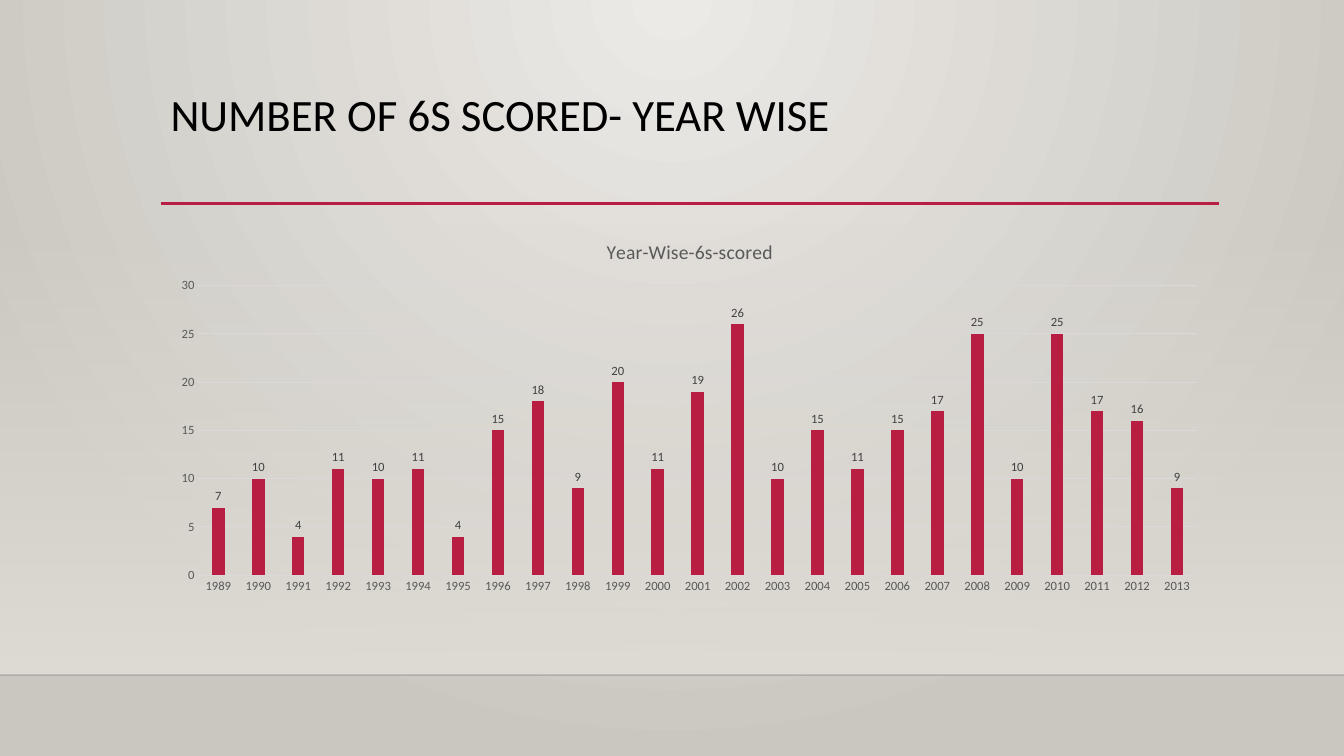
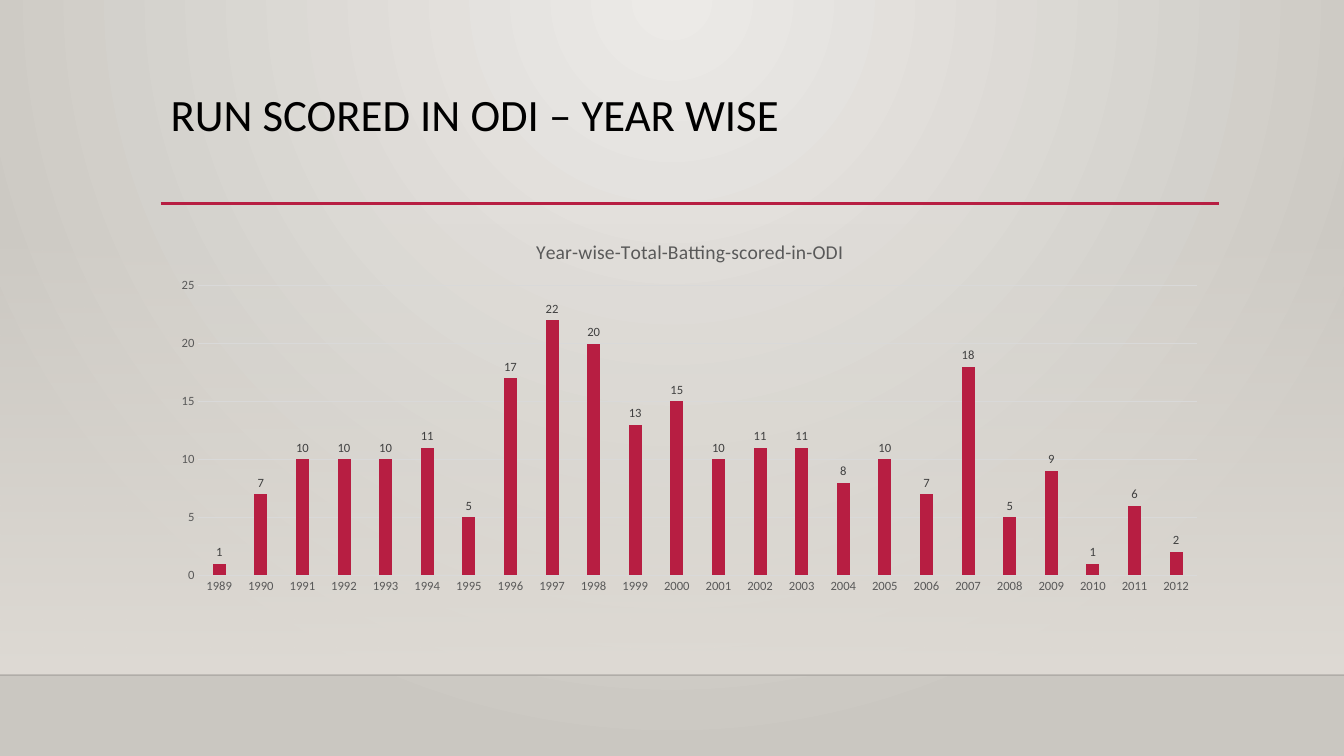
from dataclasses import dataclass

import lxml.etree
import pptx
import pptx.chart.axis
import pptx.chart.chart
import pptx.chart.data
import pptx.dml.color
import pptx.dml.line
import pptx.enum.chart
import pptx.enum.shapes
import pptx.enum.text
import pptx.oxml
import pptx.oxml.ns
import pptx.presentation
import pptx.shapes.connector
import pptx.slide
import pptx.text.text
import pptx.util

PX = 9525  # EMU, at 96 px to the inch
PAGE_WIDTH, PAGE_HEIGHT = 1280, 720
FONT = "Calibri"
BLACK, ACCENT = "000000", "B71E42"
BACKDROP_LIGHT, BACKDROP_DARK, HAZE = "ECEAE7", "CAC7C1", "DFDBD5"
AXIS_TEXT, LABEL_TEXT, RULE_GREY = "595959", "404040", "D9D9D9"
FIRST_YEAR = 1989
FLOOR_Y = 643
RULE_Y = 194
AXIS_STEP = 5


@dataclass(frozen=True)
class Area:
    left: int
    top: int
    width: int
    height: int

    def emu(self) -> tuple[int, int, int, int]:
        return px(self.left), px(self.top), px(self.width), px(self.height)


@dataclass(frozen=True)
class YearChart:
    heading: str
    title: str
    axis_maximum: int
    values: tuple[int, ...]


@dataclass(frozen=True)
class Stop:
    percent: int
    colour: str
    opacity: int = 100


TITLE_AREA = Area(153, 84, 1008, 110)
CHART_AREA = Area(153, 211, 1008, 362)
PLOT_AREA = Area(189, 272, 951, 276)
HAZE_AREA = Area(0, 212, PAGE_WIDTH, FLOOR_Y - 212)

YEAR_CHARTS = (
    YearChart(
        "NUMBER OF 6S SCORED- YEAR WISE", "Year-Wise-6s-scored", 30,
        (7, 10, 4, 11, 10, 11, 4, 15, 18, 9, 20, 11, 19, 26, 10, 15, 11, 15, 17,
         25, 10, 25, 17, 16, 9),
    ),
    YearChart(
        "RUN SCORED IN ODI – YEAR WISE", "Year-wise-Total-Batting-scored-in-ODI", 25,
        (1, 7, 10, 10, 10, 11, 5, 17, 22, 20, 13, 15, 10, 11, 11, 8, 10, 7, 18,
         5, 9, 1, 6, 2),
    ),
)


def px(length: int) -> int:
    return pptx.util.Emu(length * PX)


def rgb(colour: str) -> pptx.dml.color.RGBColor:
    return pptx.dml.color.RGBColor.from_string(colour)


def style_font(font: pptx.text.text.Font, size: int, colour: str) -> None:
    font.name = FONT
    font.size = pptx.util.Pt(size)
    font.bold = False
    font.color.rgb = rgb(colour)


def style_line(line: pptx.dml.line.LineFormat, colour: str, width: float) -> None:
    line.color.rgb = rgb(colour)
    line.width = pptx.util.Pt(width)


def set_gradient(
    properties: lxml.etree.ElementBase, stops: tuple[Stop, ...], direction: str
) -> None:
    """Put a gradient in place of the solid fill that the properties hold."""
    stop_xml = "".join(
        f'<a:gs pos="{stop.percent * 1000}"><a:srgbClr val="{stop.colour}">'
        f'<a:alpha val="{stop.opacity * 1000}"/></a:srgbClr></a:gs>'
        for stop in stops
    )
    gradient = pptx.oxml.parse_xml(
        f'<a:gradFill {pptx.oxml.ns.nsdecls("a")} rotWithShape="1">'
        f"<a:gsLst>{stop_xml}</a:gsLst>{direction}</a:gradFill>"
    )
    properties.replace(properties.find(pptx.oxml.ns.qn("a:solidFill")), gradient)


def add_rule(
    page: pptx.slide.Slide, left: int, right: int, y: int, colour: str, width: float
) -> pptx.shapes.connector.Connector:
    rule = page.shapes.add_connector(
        pptx.enum.shapes.MSO_CONNECTOR.STRAIGHT, px(left), px(y), px(right), px(y)
    )
    style_line(rule.line, colour, width)
    lxml.etree.SubElement(rule.element.spPr, pptx.oxml.ns.qn("a:effectLst"))
    return rule


def draw_backdrop(page: pptx.slide.Slide) -> None:
    page.background.fill.solid()
    set_gradient(
        page.element.find(".//" + pptx.oxml.ns.qn("p:bgPr")),
        (Stop(0, BACKDROP_LIGHT), Stop(100, BACKDROP_DARK)),
        '<a:path path="circle">'
        '<a:fillToRect l="43000" t="0" r="43000" b="100000"/></a:path>',
    )
    haze = page.shapes.add_shape(
        pptx.enum.shapes.MSO_SHAPE.RECTANGLE, *HAZE_AREA.emu()
    )
    haze.shadow.inherit = False
    haze.line.fill.background()
    haze.fill.solid()
    set_gradient(
        haze.element.spPr,
        (Stop(0, HAZE, opacity=0), Stop(100, HAZE)),
        '<a:lin ang="5400000" scaled="0"/>',
    )
    floor = add_rule(page, 0, PAGE_WIDTH, FLOOR_Y, BLACK, 1)
    floor_colour = floor.element.spPr.find(".//" + pptx.oxml.ns.qn("a:srgbClr"))
    lxml.etree.SubElement(floor_colour, pptx.oxml.ns.qn("a:alpha"), val="20000")
    add_rule(
        page, TITLE_AREA.left, TITLE_AREA.left + TITLE_AREA.width, RULE_Y, ACCENT, 2.5
    )


def add_heading(page: pptx.slide.Slide, heading: str) -> None:
    box = page.shapes.add_textbox(*TITLE_AREA.emu())
    box.text_frame.word_wrap = True
    box.text_frame.vertical_anchor = pptx.enum.text.MSO_ANCHOR.TOP
    para = box.text_frame.paragraphs[0]
    para.line_spacing = 0.9
    span = para.add_run()
    span.text = heading
    style_font(span.font, 32, BLACK)


def style_axis(axis: pptx.chart.axis.CategoryAxis | pptx.chart.axis.ValueAxis) -> None:
    axis.major_tick_mark = pptx.enum.chart.XL_TICK_MARK.NONE
    axis.minor_tick_mark = pptx.enum.chart.XL_TICK_MARK.NONE
    style_font(axis.tick_labels.font, 9, AXIS_TEXT)


def place_plot(chart: pptx.chart.chart.Chart) -> None:
    """Fix the inner plot area as fractions of the chart area."""
    fractions = {
        "x": (PLOT_AREA.left - CHART_AREA.left) / CHART_AREA.width,
        "y": (PLOT_AREA.top - CHART_AREA.top) / CHART_AREA.height,
        "w": PLOT_AREA.width / CHART_AREA.width,
        "h": PLOT_AREA.height / CHART_AREA.height,
    }
    plot_area = chart.element.find(".//" + pptx.oxml.ns.qn("c:plotArea"))
    for old_layout in plot_area.findall(pptx.oxml.ns.qn("c:layout")):
        plot_area.remove(old_layout)
    fraction_xml = "".join(
        f'<c:{name} val="{value:.4f}"/>' for name, value in fractions.items()
    )
    plot_area.insert(0, pptx.oxml.parse_xml(
        f'<c:layout {pptx.oxml.ns.nsdecls("c")}><c:manualLayout>'
        '<c:layoutTarget val="inner"/><c:xMode val="edge"/><c:yMode val="edge"/>'
        f"{fraction_xml}</c:manualLayout></c:layout>"
    ))


def add_year_chart(page: pptx.slide.Slide, year_chart: YearChart) -> None:
    data = pptx.chart.data.CategoryChartData()
    data.categories = [
        str(FIRST_YEAR + index) for index in range(len(year_chart.values))
    ]
    data.add_series(year_chart.title, year_chart.values)
    chart = page.shapes.add_chart(
        pptx.enum.chart.XL_CHART_TYPE.COLUMN_CLUSTERED, *CHART_AREA.emu(), data
    ).chart
    style_font(chart.font, 10, BLACK)
    chart.has_legend = False
    chart.has_title = True
    chart.chart_title.include_in_layout = False
    span = chart.chart_title.text_frame.paragraphs[0].add_run()
    span.text = year_chart.title
    style_font(span.font, 14, AXIS_TEXT)
    place_plot(chart)

    style_axis(chart.category_axis)
    style_line(chart.category_axis.format.line, RULE_GREY, 0.75)
    value_axis = chart.value_axis
    style_axis(value_axis)
    value_axis.format.line.fill.background()
    value_axis.minimum_scale = 0
    value_axis.maximum_scale = year_chart.axis_maximum
    value_axis.major_unit = AXIS_STEP
    value_axis.has_major_gridlines = True
    style_line(value_axis.major_gridlines.format.line, RULE_GREY, 0.75)

    plot = chart.plots[0]
    plot.vary_by_categories = False
    plot.gap_width = 219
    plot.overlap = -27
    columns = plot.series[0]
    columns.format.fill.solid()
    columns.format.fill.fore_color.rgb = rgb(ACCENT)
    labels = columns.data_labels
    labels.show_value = True
    labels.position = pptx.enum.chart.XL_LABEL_POSITION.OUTSIDE_END
    style_font(labels.font, 9, LABEL_TEXT)


def build_deck() -> pptx.presentation.Presentation:
    deck = pptx.Presentation()
    deck.slide_width, deck.slide_height = px(PAGE_WIDTH), px(PAGE_HEIGHT)
    blank_layout = deck.slide_layouts.get_by_name("Blank")
    for year_chart in YEAR_CHARTS:
        page = deck.slides.add_slide(blank_layout)
        draw_backdrop(page)
        add_heading(page, year_chart.heading)
        add_year_chart(page, year_chart)
    return deck


if __name__ == "__main__":
    build_deck().save("out.pptx")
